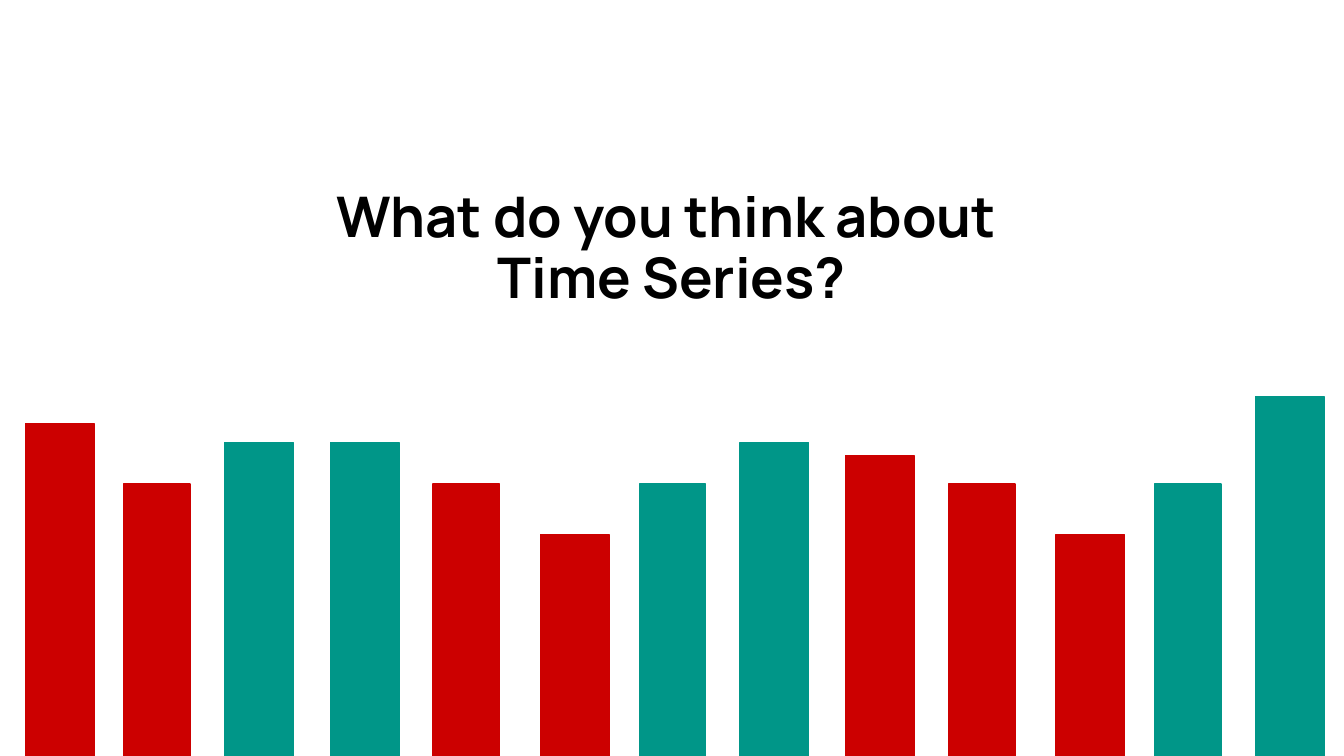
from pptx import Presentation
from pptx.dml.color import RGBColor
from pptx.enum import shapes, text
from pptx.util import Pt

SLIDE_W, SLIDE_H = 720, 405
RED, TEAL, BLACK = "CC0000", "009688", "000000"

# Left edge, top edge, width and colour of each bar, in points
BARS = [
    (13.7, 226.8, 36.7, RED),
    (66.2, 259.4, 35.6, RED),
    (120.4, 237, 36.7, TEAL),
    (177.1, 237, 36.7, TEAL),
    (232, 259.4, 35.6, RED),
    (289.6, 286.4, 36.7, RED),
    (342.5, 259.4, 35.6, TEAL),
    (396.5, 237, 36.7, TEAL),
    (453, 244.1, 36.7, RED),
    (508.2, 259.4, 35.6, RED),
    (565.7, 286.4, 36.7, RED),
    (618.5, 259.4, 35.6, TEAL),
    (672.6, 212.4, 36.7, TEAL),
]


def color(value):
    return RGBColor.from_string(value)


def set_title(s, lines):
    sp = s.shapes.title
    sp.left, sp.top, sp.width, sp.height = Pt(24.5), Pt(94.3), Pt(671), Pt(82)
    tf = sp.text_frame
    tf.text = "\n".join(lines)
    tf.word_wrap = True
    tf.auto_size = text.MSO_AUTO_SIZE.NONE
    tf.vertical_anchor = text.MSO_ANCHOR.TOP
    tf.margin_left = tf.margin_right = tf.margin_top = tf.margin_bottom = Pt(7.2)
    for p in tf.paragraphs:
        p.alignment = text.PP_ALIGN.CENTER
        p.line_spacing = 0.9
        p.space_before = p.space_after = Pt(0)
        for r in p.runs:
            r.font.name = "Manrope"
            r.font.size = Pt(30)
            r.font.bold = True
            r.font.color.rgb = color(BLACK)


def add_bar(s, left, top, width, fill):
    """Draw a bar that stands on the bottom edge of the slide."""
    sp = s.shapes.add_shape(shapes.MSO_SHAPE.RECTANGLE, Pt(left), Pt(top),
                            Pt(width), Pt(SLIDE_H - top))
    sp.shadow.inherit = False
    sp.fill.solid()
    sp.fill.fore_color.rgb = color(fill)
    sp.line.color.rgb = color(fill)
    sp.line.width = Pt(0.75)


def main():
    prs = Presentation()
    prs.slide_width, prs.slide_height = Pt(SLIDE_W), Pt(SLIDE_H)
    s = prs.slides.add_slide(prs.slide_layouts[5])

    # Question
    set_title(s, ["What do you think about ", "Time Series?"])

    # Row of bars
    for bar in BARS:
        add_bar(s, *bar)

    prs.save("out.pptx")


if __name__ == "__main__":
    main()
